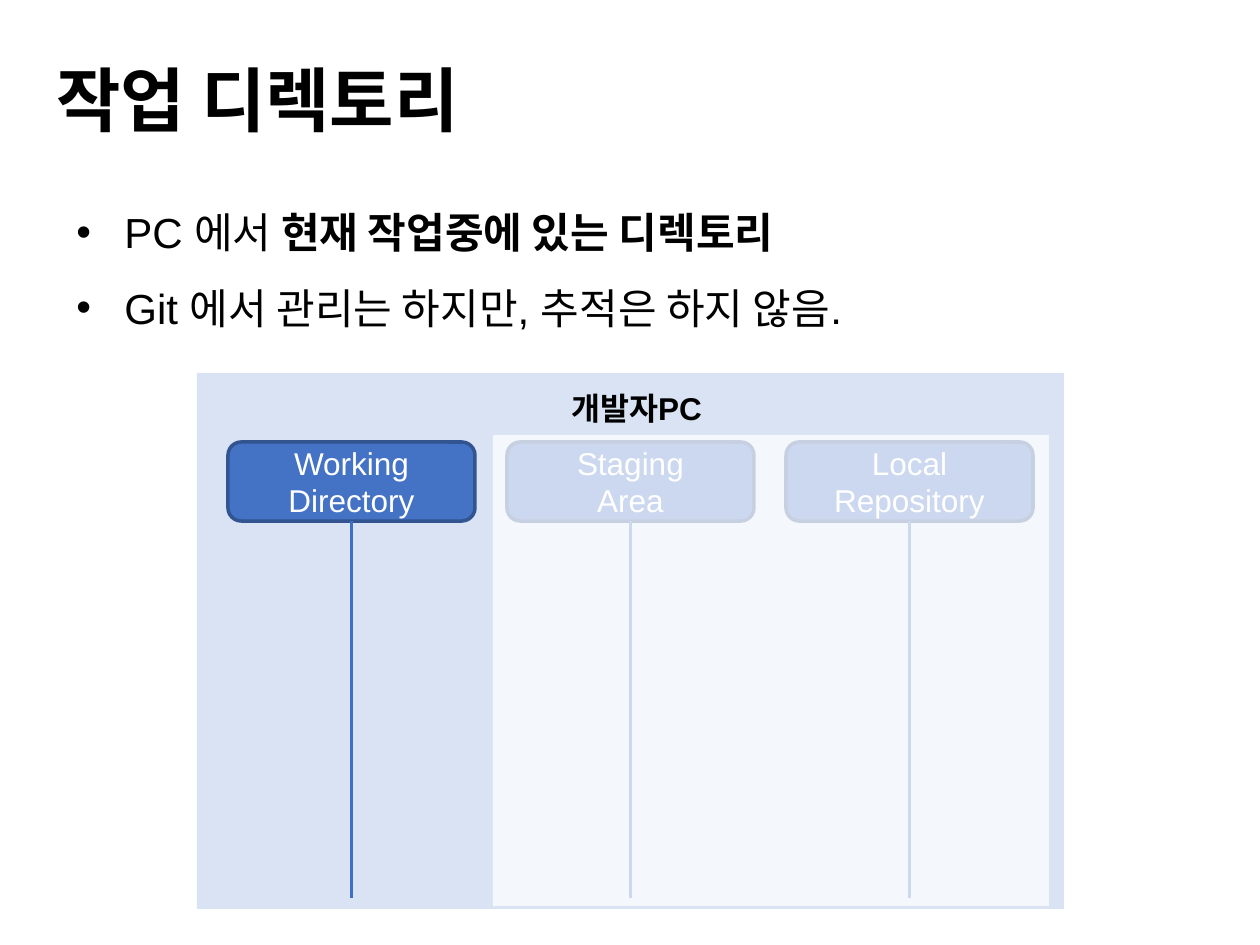
from lxml.etree import SubElement as Sub
from pptx import Presentation as Deck
from pptx.dml.color import RGBColor as Color
from pptx.enum.shapes import MSO_CONNECTOR as Link, MSO_SHAPE as Kind
from pptx.enum.text import MSO_ANCHOR as Anchor, PP_ALIGN as Align
from pptx.oxml.ns import qn
from pptx.util import Pt

PX = 914400 / 126
BLACK = Color(0, 0, 0)
WHITE = Color(255, 255, 255)
PALE = Color(0xDA, 0xE3, 0xF3)
BLUE = Color(0x44, 0x72, 0xC4)
EDGE = Color(0x32, 0x54, 0x91)
STEM = Color(0x3F, 0x6F, 0xC3)
SANS = "Noto Sans CJK KR"
HEAD = {"size": Pt(40), "name": SANS, "bold": True}
BODY = {"size": Pt(24), "name": "Arial", "bold": False}
STRONG = {**BODY, "bold": True}
NODE = {"size": Pt(18), "name": "Arial", "bold": False}
LABEL = {**NODE, "bold": True}
POINTS = [
    [("PC 에서 ", BODY), ("현재 작업중에 있는 디렉토리", STRONG)],
    [("Git 에서 관리는 하지만, 추적은 하지 않음.", BODY)],
]
AREAS = ["Working\nDirectory", "Staging\nArea", "Local\nRepository"]


def emu(*vals):
    return [round(v * PX) for v in vals]


def style(run, form, color):
    for key, val in form.items():
        setattr(run.font, key, val)
    run.font.color.rgb = color
    Sub(run.font._element, qn("a:ea"), typeface=SANS)


def write(frame, text, form, color, align):
    frame.text = text
    for para in frame.paragraphs:
        para.alignment = align
        for run in para.runs:
            style(run, form, color)


def block(slide, kind, box, fill, edge=None):
    shape = slide.shapes.add_shape(kind, *emu(*box))
    shape.shadow.inherit = False
    shape.fill.solid()
    shape.fill.fore_color.rgb = fill
    if edge is None:
        shape.line.fill.background()
    else:
        shape.line.color.rgb = edge
        shape.line.width = Pt(2)
    return shape


def title(slide, box, text):
    shape = slide.shapes.title
    shape.left, shape.top, shape.width, shape.height = emu(*box)
    shape.text_frame.vertical_anchor = Anchor.MIDDLE
    write(shape.text_frame, text, HEAD, BLACK, Align.LEFT)


def bullets(slide, box, points):
    frame = slide.shapes.add_textbox(*emu(*box)).text_frame
    frame.word_wrap = True
    for num, point in enumerate(points):
        para = frame.add_paragraph() if num else frame.paragraphs[0]
        para.line_spacing = 1.5
        props = para._p.get_or_add_pPr()
        hang = emu(48)[0]
        props.set("marL", str(hang))
        props.set("indent", str(-hang))
        Sub(props, qn("a:buFont"), typeface="Arial")
        Sub(props, qn("a:buChar"), char="•")
        for text, form in point:
            run = para.add_run()
            run.text = text
            style(run, form, BLACK)


def node(slide, box, text):
    shape = block(slide, Kind.ROUNDED_RECTANGLE, box, BLUE, EDGE)
    shape.text_frame.vertical_anchor = Anchor.MIDDLE
    write(shape.text_frame, text, NODE, WHITE, Align.CENTER)


def stem(slide, x, top, end):
    line = slide.shapes.add_connector(Link.STRAIGHT, *emu(x, top, x, end))
    line.line.color.rgb = STEM
    line.line.width = Pt(2.25)
    Sub(line._element.spPr, qn("a:effectLst"))


def veil(slide, box):
    shape = block(slide, Kind.RECTANGLE, box, WHITE)
    tint = shape._element.spPr.find(".//" + qn("a:srgbClr"))
    Sub(tint, qn("a:alpha"), val="73000")


def panel(slide, box, name, areas):
    left, top, wide, high = box
    block(slide, Kind.RECTANGLE, box, PALE)
    size, tall, step = 247, 79, 279
    start = left + (wide - size - step * (len(areas) - 1)) // 2
    for num, text in enumerate(areas):
        x = start + step * num
        node(slide, (x, top + 69, size, tall), text)
        stem(slide, x + size / 2, top + 69 + tall, top + high - 11)
    veil(slide, (left + 296, top + 62, 556, 471))
    spot = emu(left + (wide - 165) // 2 + 6, top + 10, 165, 50)
    frame = slide.shapes.add_textbox(*spot).text_frame
    frame.word_wrap = False
    write(frame, name, LABEL, BLACK, Align.CENTER)


def main():
    deck = Deck()
    deck.slide_width, deck.slide_height = emu(1260, 945)
    slide = deck.slides.add_slide(deck.slide_layouts[5])
    title(slide, (44, 16, 1202, 165), "작업 디렉토리")
    bullets(slide, (64, 175, 1081, 158), POINTS)
    panel(slide, (197, 373, 867, 536), "개발자PC", AREAS)
    deck.save("out.pptx")


if __name__ == "__main__":
    main()
